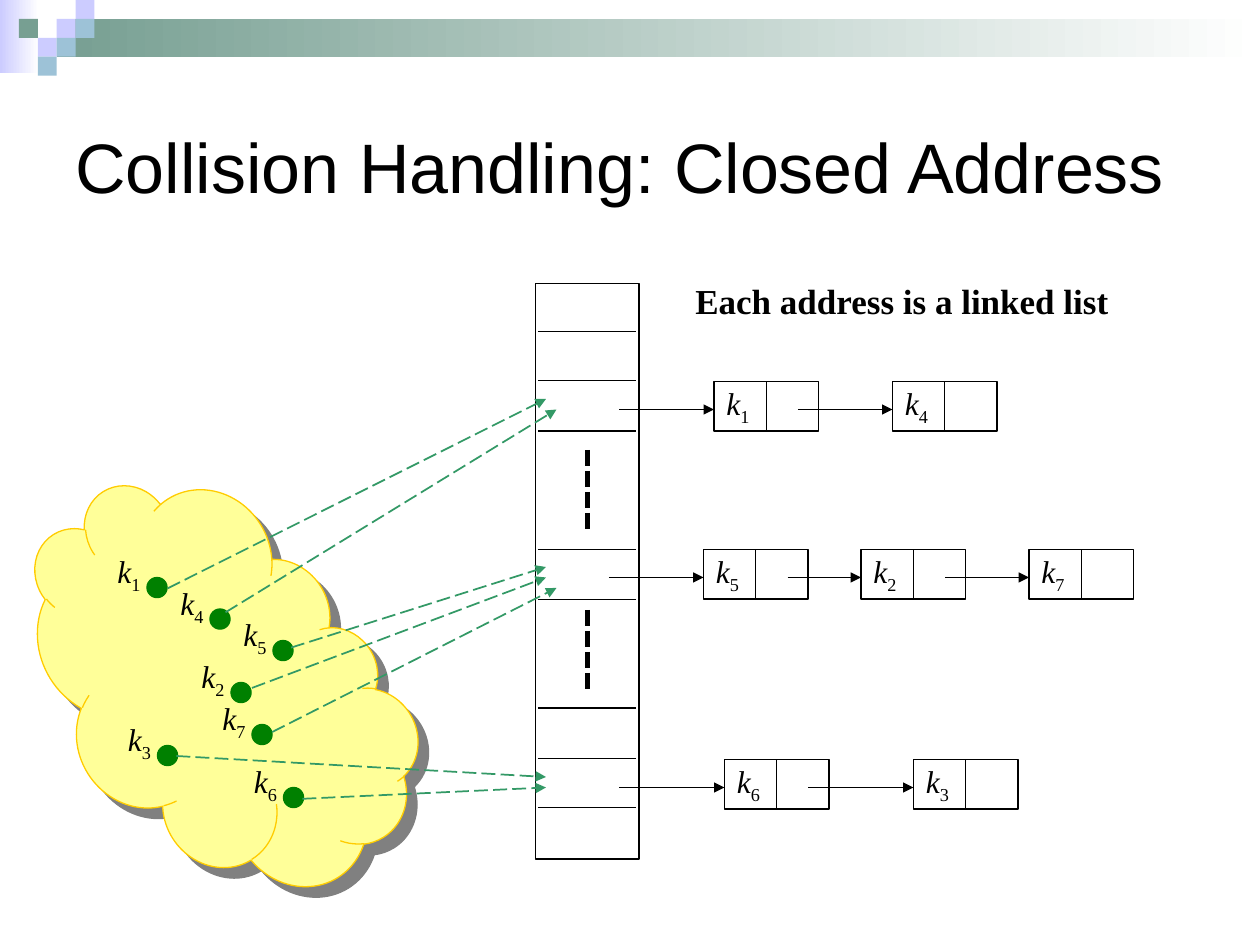
from lxml.etree import SubElement
from pptx import Presentation
from pptx.dml.color import RGBColor
from pptx.enum.dml import MSO_LINE
from pptx.enum.shapes import MSO_CONNECTOR, MSO_SHAPE
from pptx.enum.text import MSO_ANCHOR, MSO_AUTO_SIZE
from pptx.oxml.ns import qn
from pptx.util import Inches, Pt

BLACK = RGBColor(0x00, 0x00, 0x00)
WHITE = RGBColor(0xFF, 0xFF, 0xFF)
LILAC = RGBColor(0xCC, 0xCC, 0xFF)
SAGE = RGBColor(0x77, 0x9F, 0x92)
SKY = RGBColor(0x9D, 0xC2, 0xD7)
YELLOW = RGBColor(0xFF, 0xFF, 0x99)
GOLD = RGBColor(0xFF, 0xCC, 0x00)
DOT_GREEN = RGBColor(0x00, 0x80, 0x00)
ARROW_GREEN = RGBColor(0x33, 0x99, 0x66)
SHADOW_GREY = "808080"

TITLE = "Collision Handling: Closed Address"
CAPTION = "Each address is a linked list"

UNIT = 1 / 12  # the diagram sits on a grid of twelfths of an inch
TILE = 0.15
TILES = [  # column, row, colour
    (3, 1, LILAC), (4, 0, LILAC), (4, 1, SKY), (2, 2, LILAC),
    (1, 1, SAGE), (3, 2, SKY), (2, 3, SKY),
]

TABLE = (4.25, 2.25, 0.82, 4.57)
TABLE_RULES = [2.63, 3.02, 3.42, 4.36, 4.76, 5.62, 6.02, 6.41]
ELLIPSES = [(3.57, 4.2), (4.84, 5.47)]

# grid row, column where the first link starts, (key, column) of each node
CHAINS = [
    (36, 59, [("1", 68), ("4", 85)]),
    (52, 58, [("5", 67), ("2", 82), ("7", 98)]),
    (72, 59, [("6", 69), ("3", 87)]),
]
NODE_WIDTH, NODE_HEIGHT, LINK_COLUMNS, LINK_ROWS = 0.83, 0.39, 8, 3

# key, grid cell of its dot, arrow start in inches, grid cell of arrow end
KEYS = [
    ("1", (14, 55), (1.33, 4.67), (52, 38)),
    ("4", (20, 58), (1.79, 4.86), (53, 39)),
    ("5", (26, 61), (2.31, 5.14), (52, 54)),
    ("2", (22, 65), (2, 5.46), (52, 55)),
    ("7", (24, 69), (2.16, 5.81), (53, 56)),
    ("3", (15, 71), (1.4, 6), (52, 74)),
    ("6", (27, 75), (2.4, 6.34), (52, 75)),
]
DOT_SIZE = 0.16


def add_shape(page, kind, area, fill=None, line=None, weight=0.75):
    shape = page.shapes.add_shape(kind, *map(Inches, area))
    shape.shadow.inherit = False
    if fill is None:
        shape.fill.background()
    else:
        shape.fill.solid()
        shape.fill.fore_color.rgb = fill
    if line is None:
        shape.line.fill.background()
    else:
        shape.line.color.rgb = line
        shape.line.width = Pt(weight)
    return shape


def add_fade(page, area, colour):
    """Add a bar that fades from the colour on the left to white."""
    bar = add_shape(page, MSO_SHAPE.RECTANGLE, area)
    bar.fill.gradient()
    bar.fill.gradient_angle = 180
    for stop, shade, position in zip(bar.fill.gradient_stops, (WHITE, colour), (0, 1)):
        stop.color.rgb = shade
        stop.position = position


def add_line(page, start, end, colour=BLACK, weight=0.75, dash=None, arrow=False):
    line = page.shapes.add_connector(
        MSO_CONNECTOR.STRAIGHT, *map(Inches, (*start, *end)))
    line.line.color.rgb = colour
    line.line.width = Pt(weight)
    if dash is not None:
        line.line.dash_style = dash
    if arrow:
        SubElement(line.line._get_or_add_ln(), qn("a:tailEnd"), type="triangle")
    SubElement(line._element.spPr, qn("a:effectLst"))


def add_text(page, area, text, subscript="", size=18, font="Times New Roman",
             bold=False, italic=False, before=0, anchor=MSO_ANCHOR.TOP, grow=True):
    frame = page.shapes.add_textbox(*map(Inches, area)).text_frame
    frame.word_wrap = True
    frame.vertical_anchor = anchor
    frame.auto_size = MSO_AUTO_SIZE.SHAPE_TO_FIT_TEXT if grow else MSO_AUTO_SIZE.NONE
    para = frame.paragraphs[0]
    para.space_before = Pt(before)
    for part in filter(None, (text, subscript)):
        span = para.add_run()
        span.text = part
        span.font.size = Pt(size)
        span.font.name = font
        span.font.bold = bold
        span.font.italic = italic
        span.font.color.rgb = BLACK
    if subscript:
        span.font.italic = False
        span.font._element.set("baseline", "-25000")


def add_key(page, left, top, width, key):
    add_text(page, (left, top, width, 0.44), "k", subscript=key, italic=True, before=11.2)


def add_header(page):
    add_fade(page, (0, 0, 0.31, 0.58), LILAC)
    add_fade(page, (0.45, 0.15, 9.55, 0.3), SAGE)
    for column, row, colour in TILES:
        add_shape(page, MSO_SHAPE.RECTANGLE,
                  (column * TILE, row * TILE, TILE, TILE), fill=colour)


def add_cloud(page):
    cloud = add_shape(page, MSO_SHAPE.CLOUD, (-0.08, 4.25, 3.58, 2.42), YELLOW, GOLD)
    cloud.rotation = 58.1
    effects = cloud._element.spPr.find(qn("a:effectLst"))
    shadow = SubElement(effects, qn("a:outerShdw"), dist=str(Pt(8.5)),
                        dir="2700000", algn="ctr", rotWithShape="0")
    SubElement(shadow, qn("a:srgbClr"), val=SHADOW_GREY)


def add_address_table(page):
    add_shape(page, MSO_SHAPE.RECTANGLE, TABLE, line=BLACK, weight=1)
    left, _, width, _ = TABLE
    for height in TABLE_RULES:
        add_line(page, (left + 0.02, height), (left + width - 0.02, height))
    middle = left + width / 2
    for top, bottom in ELLIPSES:
        add_line(page, (middle, top), (middle, bottom), weight=3,
                 dash=MSO_LINE.SQUARE_DOT)


def add_chain(page, row, link_column, nodes):
    top = row * UNIT
    link_height = (row + LINK_ROWS) * UNIT
    for key, column in nodes:
        left = column * UNIT
        divider = left + NODE_WIDTH / 2
        box_top = top + 0.03
        add_shape(page, MSO_SHAPE.RECTANGLE,
                  (left, box_top, NODE_WIDTH, NODE_HEIGHT), line=BLACK)
        add_line(page, (divider, box_top), (divider, box_top + NODE_HEIGHT))
        add_key(page, left, top, 0.5, key)
        add_line(page, (link_column * UNIT, link_height), (left, link_height), arrow=True)
        link_column = column + LINK_COLUMNS


def main():
    deck = Presentation()
    deck.slide_width, deck.slide_height = Inches(10), Inches(7.5)
    page = deck.slides.add_slide(deck.slide_layouts[6])
    add_header(page)
    add_cloud(page)
    add_text(page, (0.5, 0.62, 9, 1.38), TITLE, size=40, font="Arial",
             anchor=MSO_ANCHOR.MIDDLE, grow=False)
    add_address_table(page)
    for chain in CHAINS:
        add_chain(page, *chain)
    for key, (column, row), _, _ in KEYS:
        add_shape(page, MSO_SHAPE.OVAL,
                  (column * UNIT, row * UNIT, DOT_SIZE, DOT_SIZE), DOT_GREEN, DOT_GREEN)
        add_key(page, (column - 4) * UNIT, (row - 3) * UNIT, 0.67, key)
    for _, _, start, (column, row) in KEYS:
        add_line(page, start, (column * UNIT, row * UNIT), ARROW_GREEN, weight=1,
                 dash=MSO_LINE.LONG_DASH, arrow=True)
    add_text(page, (5.42, 2.17, 3.67, 0.44), CAPTION, size=20, bold=True, before=12.5)
    deck.save("out.pptx")


if __name__ == "__main__":
    main()
